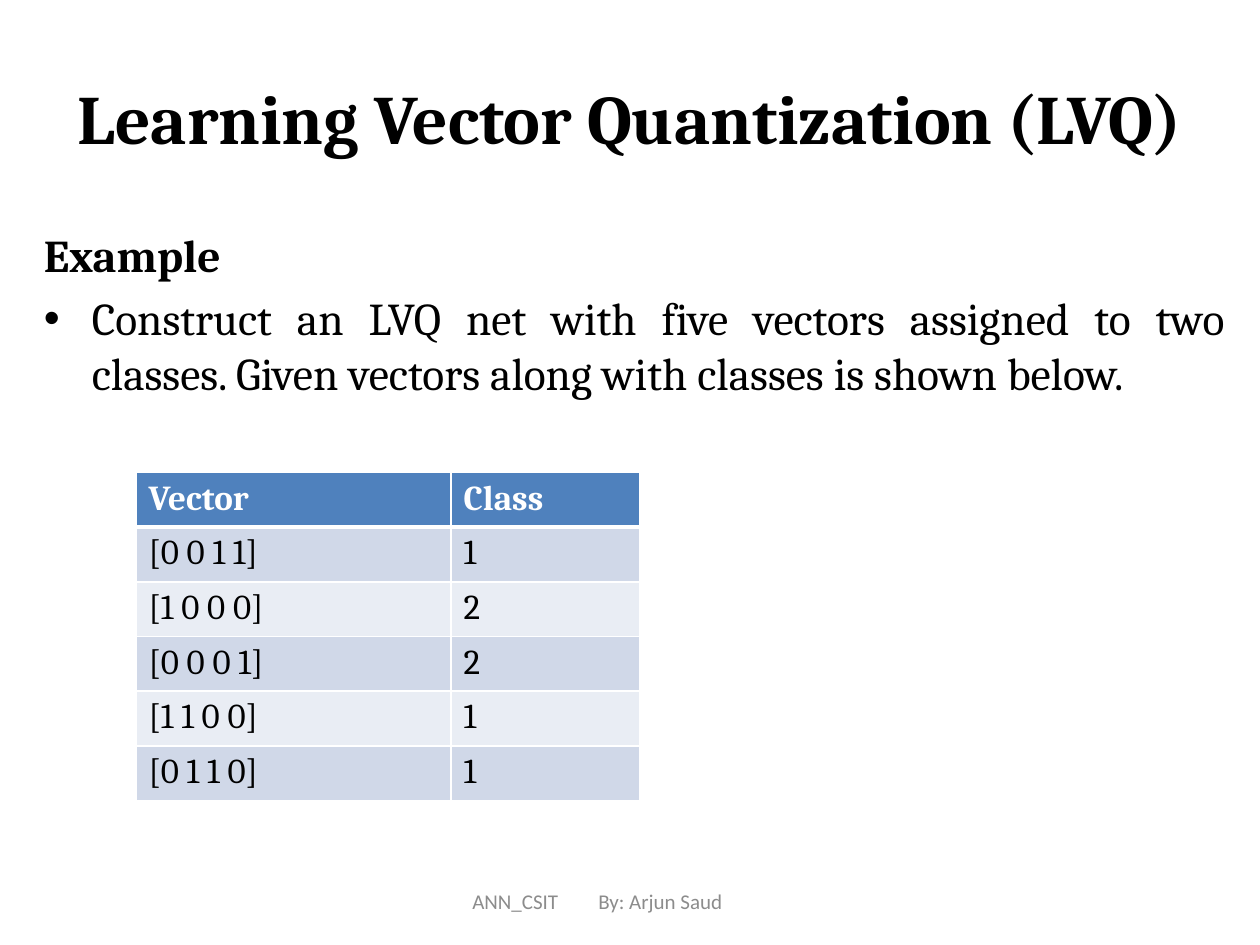
from lxml import etree
from pptx import Presentation
from pptx.dml.color import RGBColor
from pptx.enum.text import MSO_ANCHOR, PP_ALIGN
from pptx.oxml.ns import qn
from pptx.util import Inches, Pt

CENTER, JUSTIFY, LEFT = PP_ALIGN.CENTER, PP_ALIGN.JUSTIFY, PP_ALIGN.LEFT
MIDDLE, TOP = MSO_ANCHOR.MIDDLE, MSO_ANCHOR.TOP
COLORS = {
    "text": "000000",
    "footer": "8C8C8C",
    "white": "FFFFFF",
    "header": "4F81BD",
    "odd": "D0D8E8",
    "even": "E9EDF4",
}
TITLE = {"name": "Cambria", "size": Pt(39.6), "bold": True}
HEADING = {"name": "Cambria", "size": Pt(26), "bold": True}
BODY = {**HEADING, "bold": False}
TABLE_HEAD = {"name": "Cambria", "size": Pt(20), "bold": True}
TABLE_BODY = {**TABLE_HEAD, "bold": False}
FOOTER = {"name": "Calibri", "size": Pt(12), "bold": False}
ROWS = [
    ("Vector", "Class"),
    ("[0 0 1 1]", "1"),
    ("[1 0 0 0]", "2"),
    ("[0 0 0 1]", "2"),
    ("[1 1 0 0]", "1"),
    ("[0 1 1 0]", "1"),
]


def write(para, text, style, color="text", align=LEFT):
    """Add one formatted run to a paragraph."""
    para.alignment = align
    span = para.add_run()
    span.text = text
    for name, value in style.items():
        setattr(span.font, name, value)
    span.font.color.rgb = RGBColor.from_string(COLORS[color])


def add_frame(page, box, anchor):
    """Add a wrapping text box and return its text frame."""
    frame = page.shapes.add_textbox(*map(Inches, box)).text_frame
    frame.word_wrap = True
    frame.vertical_anchor = anchor
    return frame


def add_title(page, box):
    """Place the centred slide title."""
    frame = add_frame(page, box, MIDDLE)
    write(frame.paragraphs[0], "Learning Vector Quantization (LVQ)", TITLE, align=CENTER)


def indent(para, left, first):
    """Set the hanging indent of a paragraph and return its properties."""
    props = para._p.get_or_add_pPr()
    props.set("marL", str(Inches(left)))
    props.set("indent", str(Inches(first)))
    return props


def add_body(page, box):
    """Place the example heading and its bulleted task."""
    frame = add_frame(page, box, TOP)
    heading, task = frame.paragraphs[0], frame.add_paragraph()
    write(heading, "Example", HEADING, align=JUSTIFY)
    write(
        task,
        "Construct an LVQ net with five vectors assigned to two classes. "
        "Given vectors along with classes is shown below.",
        BODY,
        align=JUSTIFY,
    )
    for para in (heading, task):
        para.space_before = Pt(5.2)
        props = indent(para, 0.38, -0.38)
    etree.SubElement(props, qn("a:buFont"), typeface="Arial")
    etree.SubElement(props, qn("a:buChar"), char="•")


def add_borders(cell, widths):
    """Draw white borders of the given point widths around a cell."""
    props = cell._tc.get_or_add_tcPr()
    for side, width in widths.items():
        line = etree.SubElement(props, qn(f"a:ln{side}"), w=str(Pt(width)))
        fill = etree.SubElement(line, qn("a:solidFill"))
        etree.SubElement(fill, qn("a:srgbClr"), val=COLORS["white"])


def add_vector_table(page, box, widths):
    """Place the table of vectors and their classes."""
    table = page.shapes.add_table(len(ROWS), len(widths), *map(Inches, box)).table
    for column, width in zip(table.columns, widths):
        column.width = Inches(width)
    for index, values in enumerate(ROWS):
        table.rows[index].height = Inches(box[3] / len(ROWS))
        head = index == 0
        fill = "header" if head else "odd" if index % 2 else "even"
        borders = {"L": 1, "R": 1, "T": 3 if index == 1 else 1, "B": 3 if head else 1}
        for cell, value in zip(table.rows[index].cells, values):
            add_borders(cell, borders)
            cell.fill.solid()
            cell.fill.fore_color.rgb = RGBColor.from_string(COLORS[fill])
            write(
                cell.text_frame.paragraphs[0],
                value,
                TABLE_HEAD if head else TABLE_BODY,
                "white" if head else "text",
            )


def add_footer(page, box):
    """Place the course and author, parted by a tab stop."""
    para = add_frame(page, box, MIDDLE).paragraphs[0]
    write(para, "ANN_CSIT\tBy: Arjun Saud", FOOTER, "footer")
    stops = etree.SubElement(indent(para, 0.23, 0), qn("a:tabLst"))
    etree.SubElement(stops, qn("a:tab"), pos=str(Inches(1.74)), algn="l")


def main():
    """Build and save the slide."""
    deck = Presentation()
    deck.slide_width, deck.slide_height = Inches(10), Inches(7.5)
    page = deck.slides.add_slide(deck.slide_layouts[6])
    add_title(page, (0.5, 0.3, 9, 1.25))
    add_body(page, (0.25, 1.75, 9.58, 4.95))
    add_vector_table(page, (1.08, 3.75, 4, 2.52), (2.5, 1.5))
    add_footer(page, (3.42, 6.95, 3.17, 0.4))
    deck.save("out.pptx")


if __name__ == "__main__":
    main()
